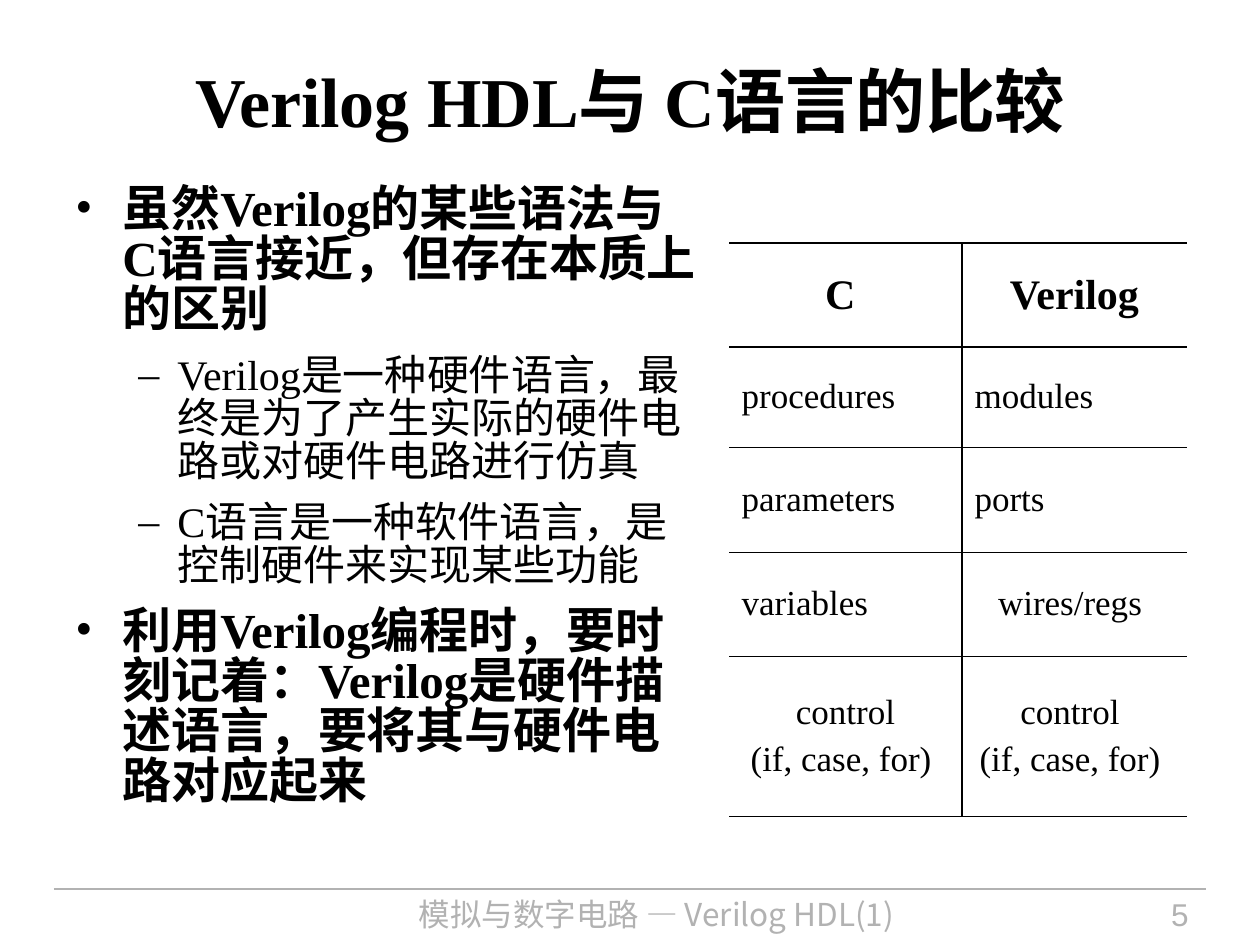
from dataclasses import dataclass

from lxml.etree import SubElement
from pptx import Presentation
from pptx.dml.color import RGBColor
from pptx.enum.shapes import MSO_CONNECTOR
from pptx.enum.text import MSO_ANCHOR, PP_ALIGN
from pptx.oxml import parse_xml
from pptx.oxml.ns import nsdecls, qn
from pptx.util import Emu, Pt

BLACK = RGBColor(0x00, 0x00, 0x00)
GREY = RGBColor(0xB2, 0xB2, 0xB2)
SERIF = "Times New Roman"
SANS = "Arial"
CHINESE = "Noto Sans CJK SC"
THICK, THIN = 1.08, 0.45


def px(length: int) -> Emu:
    return Emu(round(length * 914400 / 126))


@dataclass(frozen=True)
class Box:
    left: int
    top: int
    width: int
    height: int


@dataclass(frozen=True)
class Style:
    size: int
    bold: bool = False
    font: str = SERIF
    color: RGBColor = BLACK


@dataclass(frozen=True)
class Level:
    style: Style
    bullet: str
    margin: int
    hanging: int
    before: float
    after: float


@dataclass(frozen=True)
class Cell:
    lines: tuple[str, ...]
    align: PP_ALIGN = PP_ALIGN.LEFT


POINT = Level(Style(28, True), "•", 47, 47, 5.2, 7)
DETAIL = Level(Style(24), "–", 102, 39, 4.5, 6)
BODY = [
    (POINT, "虽然Verilog的某些语法与C语言接近，但存在本质上的区别"),
    (DETAIL, "Verilog是一种硬件语言，最终是为了产生实际的硬件电路或对硬件电路进行仿真"),
    (DETAIL, "C语言是一种软件语言，是控制硬件来实现某些功能"),
    (POINT, "利用Verilog编程时，要时刻记着：Verilog是硬件描述语言，要将其与硬件电路对应起来"),
]

CENTER = PP_ALIGN.CENTER
COMPARISON = [
    (Cell(("C ",), CENTER), Cell(("Verilog",), CENTER)),
    (Cell(("procedures",)), Cell(("modules",))),
    (Cell(("parameters",)), Cell(("ports",))),
    (Cell(("variables",)), Cell(("wires/regs ",), CENTER)),
    (Cell(("control", "(if, case, for) "), CENTER),
     Cell(("control ", "(if, case, for) "), CENTER)),
]
COLUMN_WIDTHS = [233, 225]
ROW_HEIGHTS = [104, 100, 105, 104, 160]
RULES = [THICK, THICK, THIN, THIN, THIN, THIN]


def add_run(paragraph, text: str, style: Style) -> None:
    run = paragraph.add_run()
    run.text = text
    run.font.size = Pt(style.size)
    run.font.bold = style.bold
    run.font.color.rgb = style.color
    run.font.name = style.font
    SubElement(run.font._element, qn("a:ea")).set("typeface", CHINESE)


def add_text_frame(slide, box: Box, anchor: MSO_ANCHOR = MSO_ANCHOR.TOP):
    shape = slide.shapes.add_textbox(
        px(box.left), px(box.top), px(box.width), px(box.height))
    shape.text_frame.word_wrap = True
    shape.text_frame.vertical_anchor = anchor
    return shape.text_frame


def add_line_of_text(slide, box: Box, text: str, style: Style, align: PP_ALIGN,
                     anchor: MSO_ANCHOR = MSO_ANCHOR.TOP) -> None:
    paragraph = add_text_frame(slide, box, anchor).paragraphs[0]
    paragraph.alignment = align
    add_run(paragraph, text, style)


def add_body(slide, box: Box) -> None:
    frame = add_text_frame(slide, box)
    for index, (level, text) in enumerate(BODY):
        paragraph = frame.add_paragraph() if index else frame.paragraphs[0]
        properties = paragraph._p.get_or_add_pPr()
        properties.set("marL", str(px(level.margin)))
        properties.set("indent", str(-px(level.hanging)))
        SubElement(properties, qn("a:buFont")).set("typeface", SERIF)
        SubElement(properties, qn("a:buChar")).set("char", level.bullet)
        paragraph.line_spacing = 0.85
        paragraph.space_before = Pt(level.before if index else 0)
        paragraph.space_after = Pt(level.after)
        add_run(paragraph, text, level.style)


def set_borders(cell, widths: dict[str, float]) -> None:
    """Draw the named sides (L, R, T, B) in black; a width of 0 hides a side."""
    properties = cell._tc.get_or_add_tcPr()
    for index, (side, width) in enumerate(widths.items()):
        fill = f'<a:solidFill><a:srgbClr val="{BLACK}"/></a:solidFill>' if width else "<a:noFill/>"
        properties.insert(index, parse_xml(
            f'<a:ln{side} {nsdecls("a")} w="{Pt(width)}">{fill}</a:ln{side}>'))


def add_comparison(slide, left: int, top: int) -> None:
    table = slide.shapes.add_table(
        len(ROW_HEIGHTS), len(COLUMN_WIDTHS), px(left), px(top),
        px(sum(COLUMN_WIDTHS)), px(sum(ROW_HEIGHTS))).table
    table.first_row = table.horz_banding = False
    for column, width in zip(table.columns, COLUMN_WIDTHS):
        column.width = px(width)
    for row, height in zip(table.rows, ROW_HEIGHTS):
        row.height = px(height)
    for row_index, row_cells in enumerate(COMPARISON):
        header = row_index == 0
        for column_index, content in enumerate(row_cells):
            cell = table.cell(row_index, column_index)
            cell.fill.background()
            cell.vertical_anchor = MSO_ANCHOR.MIDDLE
            set_borders(cell, {
                "L": THICK if column_index else 0,
                "R": 0 if column_index else THICK,
                "T": RULES[row_index],
                "B": RULES[row_index + 1],
            })
            frame = cell.text_frame
            for line_index, line in enumerate(content.lines):
                paragraph = frame.add_paragraph() if line_index else frame.paragraphs[0]
                paragraph.alignment = content.align
                paragraph.space_after = Pt(6 if header else 5)
                add_run(paragraph, line, Style(24 if header else 20, header))


def add_footer(slide) -> None:
    rule = slide.shapes.add_connector(
        MSO_CONNECTOR.STRAIGHT, px(54), px(889), px(1206), px(889))
    rule.line.color.rgb = GREY
    rule.line.width = Pt(0.75)
    SubElement(rule._element.spPr, qn("a:effectLst"))
    add_line_of_text(slide, Box(302, 889, 709, 55), "模拟与数字电路 — Verilog HDL(1)",
                     Style(18, font=CHINESE, color=GREY), CENTER)
    add_line_of_text(slide, Box(1033, 889, 168, 55), "5",
                     Style(18, font=SANS, color=GREY), PP_ALIGN.RIGHT)


def main() -> None:
    presentation = Presentation()
    presentation.slide_width, presentation.slide_height = px(1260), px(945)
    slide = presentation.slides.add_slide(presentation.slide_layouts[6])
    add_footer(slide)
    add_line_of_text(slide, Box(63, 21, 1134, 158), "Verilog HDL与 C语言的比较",
                     Style(40, True), CENTER, MSO_ANCHOR.MIDDLE)
    add_body(slide, Box(63, 180, 646, 699))
    add_comparison(slide, 729, 243)
    presentation.save("out.pptx")


if __name__ == "__main__":
    main()
